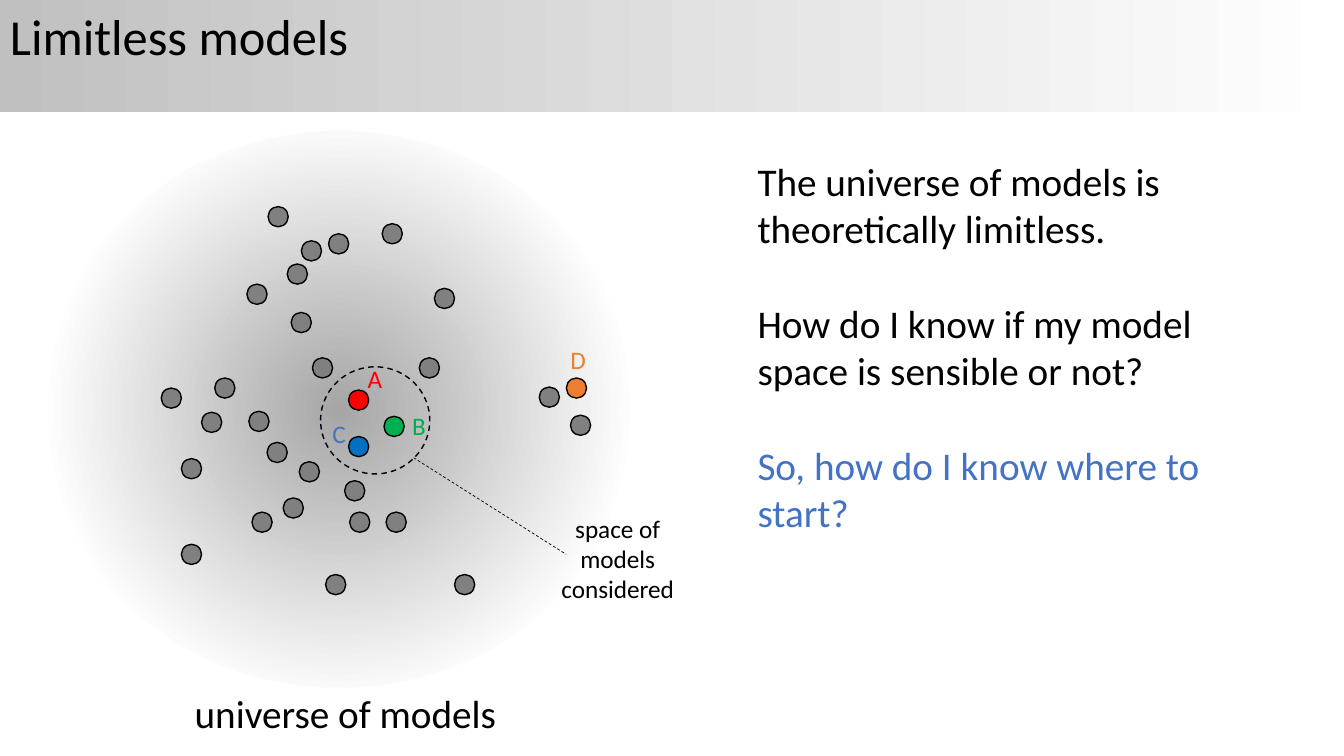
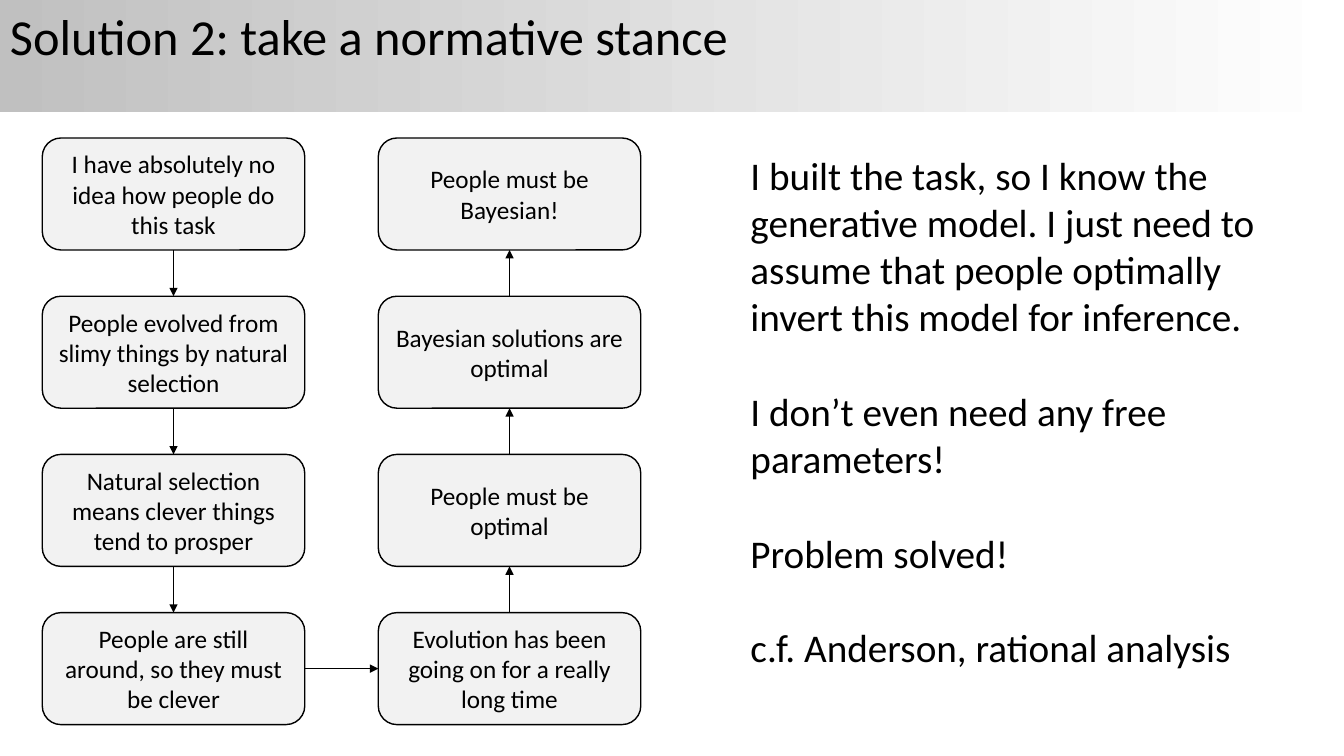
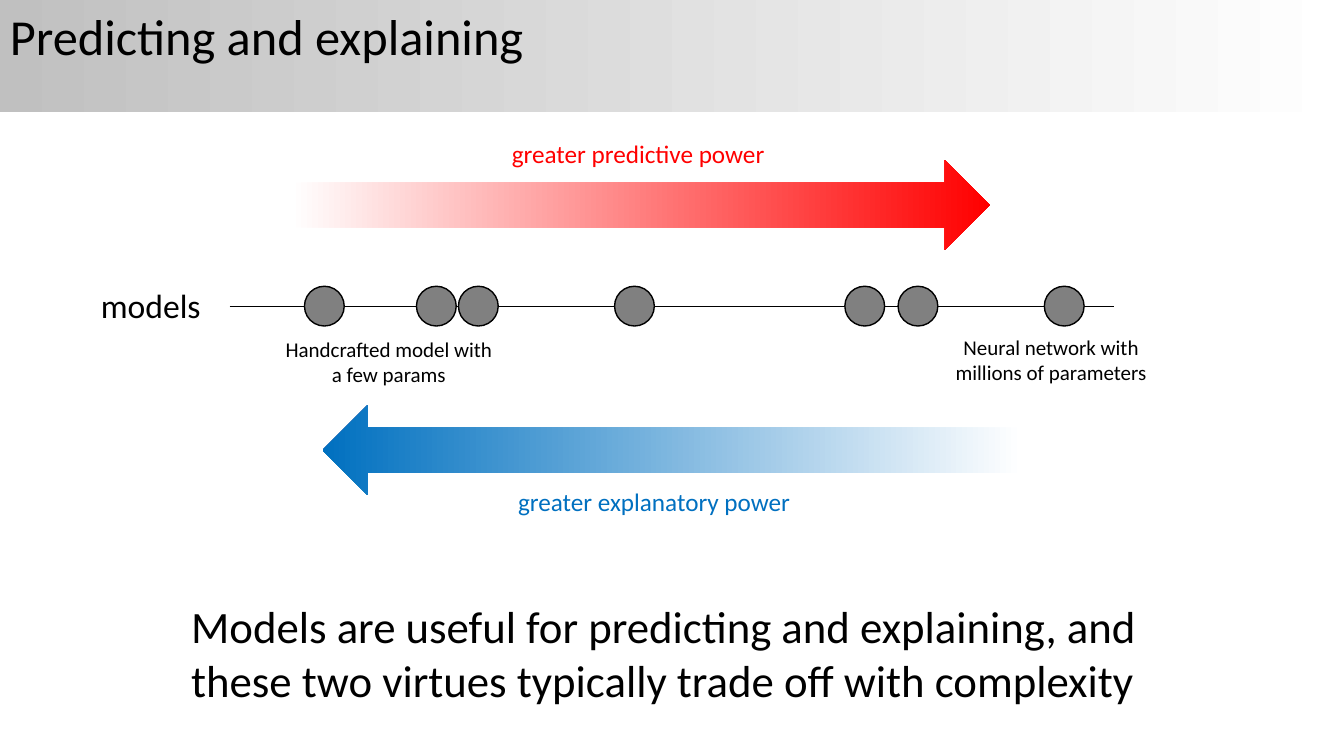
from itertools import pairwise
from typing import NamedTuple

from lxml.etree import SubElement
from pptx import Presentation
from pptx.dml.color import RGBColor
from pptx.enum.dml import MSO_LINE
from pptx.enum.shapes import MSO_CONNECTOR as CONN, MSO_SHAPE as SHAPE
from pptx.enum.text import MSO_ANCHOR as ANCHOR, MSO_AUTO_SIZE as AUTO, PP_ALIGN as ALIGN
from pptx.oxml.ns import qn
from pptx.shapes.autoshape import Shape
from pptx.shapes.connector import Connector
from pptx.slide import Slide
from pptx.text.text import TextFrame
from pptx.util import Pt

FONT = "Calibri"
BLACK, WHITE, GREY = "000000", "FFFFFF", "808080"
RED, GREEN, BLUE, ORANGE, ACCENT = "FF0000", "00B050", "0070C0", "ED7D31", "4472C4"
BAND_GREY, CLOUD_GREY, BOX_GREY = "C0C0C0", "A6A6A6", "F2F2F2"
SLIDE_W, SLIDE_H, BAND_H = 960, 540, 80
TOP, RIGHT, BOTTOM, LEFT = 0, 3, 2, 1


class Box(NamedTuple):
    """A rectangle in points."""
    x: float
    y: float
    w: float
    h: float


class Model(NamedTuple):
    """A named model dot with the place of its letter."""
    name: str
    x: float
    y: float
    label_x: float
    label_y: float
    color: str
    label_color: str


class Trend(NamedTuple):
    """A fading arrow with its caption."""
    caption: str
    arrow: Box
    rotation: int
    label: Box
    color: str


OTHER_MODELS = [
    (191.5, 147.6), (176.4, 203), (215.3, 172), (273, 159.8), (205.2, 188.6),
    (234.7, 167), (208, 223.2), (310.3, 206), (299.5, 255.6), (153.4, 270),
    (115.2, 277.2), (190.8, 316), (129.6, 388.8), (180, 365.8), (144, 294.5),
    (177.8, 293.8), (223.2, 255.6), (213.8, 329.8), (246.2, 343.4), (249.8, 365.8),
    (275.8, 365.8), (232.6, 410.4), (202.3, 355.7), (129.6, 327.6), (324.7, 410.4),
    (407.5, 296.6), (385.2, 276.5),
]
NAMED_MODELS = [
    Model("A", 249, 278.6, 255.6, 256.3, RED, RED),
    Model("B", 274.3, 297.4, 287.3, 289.4, GREEN, GREEN),
    Model("C", 249, 311.8, 230.4, 295.2, BLUE, ACCENT),
    Model("D", 404.6, 270, 400.3, 242.6, ORANGE, ORANGE),
]
STEPS_DOWN = [
    "I have absolutely no idea how people do this task",
    "People evolved from slimy things by natural selection",
    "Natural selection means clever things tend to prosper",
    "People are still around, so they must be clever",
]
STEPS_UP = [
    "Evolution has been going on for a really long time",
    "People must be optimal",
    "Bayesian solutions are optimal",
    "People must be Bayesian!",
]
TRENDS = [
    Trend("greater predictive power", Box(207.5, 114.5, 499.5, 64), 0,
          Box(358.5, 95, 197.5, 29), RED),
    Trend("greater explanatory power", Box(230.5, 289.5, 499.5, 64), 180,
          Box(363, 344, 211, 29), BLUE),
]
MODEL_LINE_XS = [217.5, 297.5, 327.5, 439, 603.5, 641.5, 746]


def rgb(color: str) -> RGBColor:
    """Turn a hex string into a colour."""
    return RGBColor.from_string(color)


def write(tf: TextFrame, text: str | list[str], *, size: float = 18, color: str = BLACK,
          last_color: str = "", align: ALIGN = ALIGN.LEFT, gap: float = 0) -> None:
    """Write one or more paragraphs in a text frame."""
    lines = [text] if isinstance(text, str) else text
    for i, line in enumerate(lines):
        p = tf.add_paragraph() if i else tf.paragraphs[0]
        p.alignment = align
        if i:
            p.space_before = Pt(gap)
        r = p.add_run()
        r.text = line
        r.font.name, r.font.size = FONT, Pt(size)
        last = i == len(lines) - 1
        r.font.color.rgb = rgb(last_color if last and last_color else color)


def add_text(s: Slide, text: str | list[str], box: Box, *, wrap: bool = True, **fmt) -> None:
    """Add a text box that fits its text."""
    tf = s.shapes.add_textbox(*map(Pt, box)).text_frame
    tf.word_wrap = wrap
    tf.auto_size = AUTO.SHAPE_TO_FIT_TEXT
    write(tf, text, **fmt)


def add_shape(s: Slide, kind: SHAPE, box: Box, *, fill: str = "", line: str = "") -> Shape:
    """Add a flat preset shape with an optional fill and outline."""
    sp = s.shapes.add_shape(kind, *map(Pt, box))
    sp.shadow.inherit = False
    if fill:
        sp.fill.solid()
        sp.fill.fore_color.rgb = rgb(fill)
    else:
        sp.fill.background()
    if line:
        sp.line.color.rgb = rgb(line)
        sp.line.width = Pt(1)
    else:
        sp.line.fill.background()
    return sp


def fade(sp: Shape, start: str, end: str, *, stop: float = 1, radial: bool = False) -> None:
    """Fill a shape with a two-colour gradient."""
    sp.fill.gradient()
    sp.fill.gradient_angle = 0
    for gs, color, position in zip(sp.fill.gradient_stops, (start, end), (0, stop)):
        gs.color.rgb = rgb(color)
        gs.position = position
    if radial:
        grad = sp._element.spPr.find(qn("a:gradFill"))
        grad.remove(grad.find(qn("a:lin")))
        circle = SubElement(grad, qn("a:path"), {"path": "circle"})
        SubElement(circle, qn("a:fillToRect"), dict.fromkeys("ltrb", "50000"))


def add_line(s: Slide, x1: float = 0, y1: float = 0, x2: float = 0, y2: float = 0, *,
             dashed: bool = False, arrow: bool = False) -> Connector:
    """Add a thin straight line."""
    c = s.shapes.add_connector(CONN.STRAIGHT, *map(Pt, (x1, y1, x2, y2)))
    c.line.color.rgb = rgb(BLACK)
    c.line.width = Pt(0.5)
    if dashed:
        c.line.dash_style = MSO_LINE.DASH
    if arrow:
        SubElement(c.line._get_or_add_ln(), qn("a:tailEnd"), {"type": "triangle"})
    SubElement(c._element.spPr, qn("a:effectLst"))
    return c


def add_dot(s: Slide, x: float, y: float, size: float, color: str = GREY) -> None:
    """Add an outlined dot that stands for a model."""
    add_shape(s, SHAPE.OVAL, Box(x, y, size, size), fill=color, line=BLACK)


def new_slide(prs: Presentation, title: str) -> Slide:
    """Add a blank slide with the title band."""
    s = prs.slides.add_slide(prs.slide_layouts[6])
    fade(add_shape(s, SHAPE.RECTANGLE, Box(0, 0, SLIDE_W, BAND_H)), BAND_GREY, WHITE)
    add_text(s, title, Box(0, 0, 725, 51), size=36)
    return s


def universe_slide(prs: Presentation) -> None:
    """Show the universe of models."""
    s = new_slide(prs, "Limitless models")
    cloud = add_shape(s, SHAPE.OVAL, Box(29.5, 93.5, 425.5, 398))
    fade(cloud, CLOUD_GREY, WHITE, stop=0.73, radial=True)
    add_text(s, "universe of models", Box(132, 489, 232, 41), wrap=False, size=28)
    for x, y in OTHER_MODELS:
        add_dot(s, x, y, 14.4)
    for m in NAMED_MODELS:
        add_dot(s, m.x, m.y, 14.4, m.color)
        add_text(s, m.name, Box(m.label_x, m.label_y, 25, 29), wrap=False, color=m.label_color)
    add_text(s, ["The universe of models is theoretically limitless.",
                 "How do I know if my model space is sensible or not?",
                 "So, how do I know where to start?"],
             Box(534, 109, 378, 279), size=28, gap=34, last_color=ACCENT)
    considered = add_shape(s, SHAPE.OVAL, Box(229, 262, 78, 76.5), line=BLACK)
    considered.line.dash_style = MSO_LINE.DASH
    add_text(s, "space of models considered", Box(377.5, 363, 127.5, 73), align=ALIGN.CENTER)
    add_line(s, 295.5, 327, 404.5, 396, dashed=True)


def normative_slide(prs: Presentation) -> None:
    """Show the chain of reasoning, down one column and up the next."""
    s = new_slide(prs, "Solution 2: take a normative stance")
    last = len(STEPS_DOWN) - 1
    steps = []
    for i, text in enumerate(STEPS_DOWN + STEPS_UP):
        col, row = (0, i) if i <= last else (1, 2 * last + 1 - i)
        box = Box(30.2 + 240 * col, 98.6 + 113 * row, 187.5, 80)
        sp = add_shape(s, SHAPE.ROUNDED_RECTANGLE, box, fill=BOX_GREY, line=BLACK)
        sp.text_frame.word_wrap = True
        sp.text_frame.vertical_anchor = ANCHOR.MIDDLE
        write(sp.text_frame, text, align=ALIGN.CENTER)
        steps.append(sp)
    for i, (a, b) in enumerate(pairwise(steps)):
        if i < last:
            sites = BOTTOM, TOP
        elif i == last:
            sites = RIGHT, LEFT
        else:
            sites = TOP, BOTTOM
        c = add_line(s, arrow=True)
        c.begin_connect(a, sites[0])
        c.end_connect(b, sites[1])
    add_text(s, ["I built the task, so I know the generative model. I just need to "
                 "assume that people optimally invert this model for inference.",
                 "I don’t even need any free parameters!",
                 "Problem solved!",
                 "c.f. Anderson, rational analysis"],
             Box(529, 104.5, 379, 415), size=28, gap=34)


def tradeoff_slide(prs: Presentation) -> None:
    """Show predictive against explanatory power."""
    s = new_slide(prs, "Predicting and explaining")
    add_text(s, "Models are useful for predicting and explaining, and these two virtues "
                "typically trade off with complexity", Box(129.5, 424, 706.5, 119), size=32)
    add_line(s, 164, 219, 795.5, 219)
    for t in TRENDS:
        arrow = add_shape(s, SHAPE.RIGHT_ARROW, t.arrow)
        arrow.rotation = t.rotation
        fade(arrow, WHITE, t.color)
        add_text(s, t.caption, t.label, wrap=False, color=t.color)
    for x in MODEL_LINE_XS:
        add_dot(s, x, 204.5, 28.4)
    add_text(s, "models", Box(65, 200, 85.5, 36), wrap=False, size=24)
    add_text(s, "Handcrafted model with a few params", Box(196.5, 237, 162.5, 44),
             size=15, align=ALIGN.CENTER)
    add_text(s, "Neural network with millions of parameters", Box(669.5, 235.5, 162.5, 44),
             size=15, align=ALIGN.CENTER)


def main() -> None:
    """Build and save the presentation."""
    prs = Presentation()
    prs.slide_width, prs.slide_height = Pt(SLIDE_W), Pt(SLIDE_H)
    universe_slide(prs)
    normative_slide(prs)
    tradeoff_slide(prs)
    prs.save("out.pptx")


if __name__ == "__main__":
    main()
